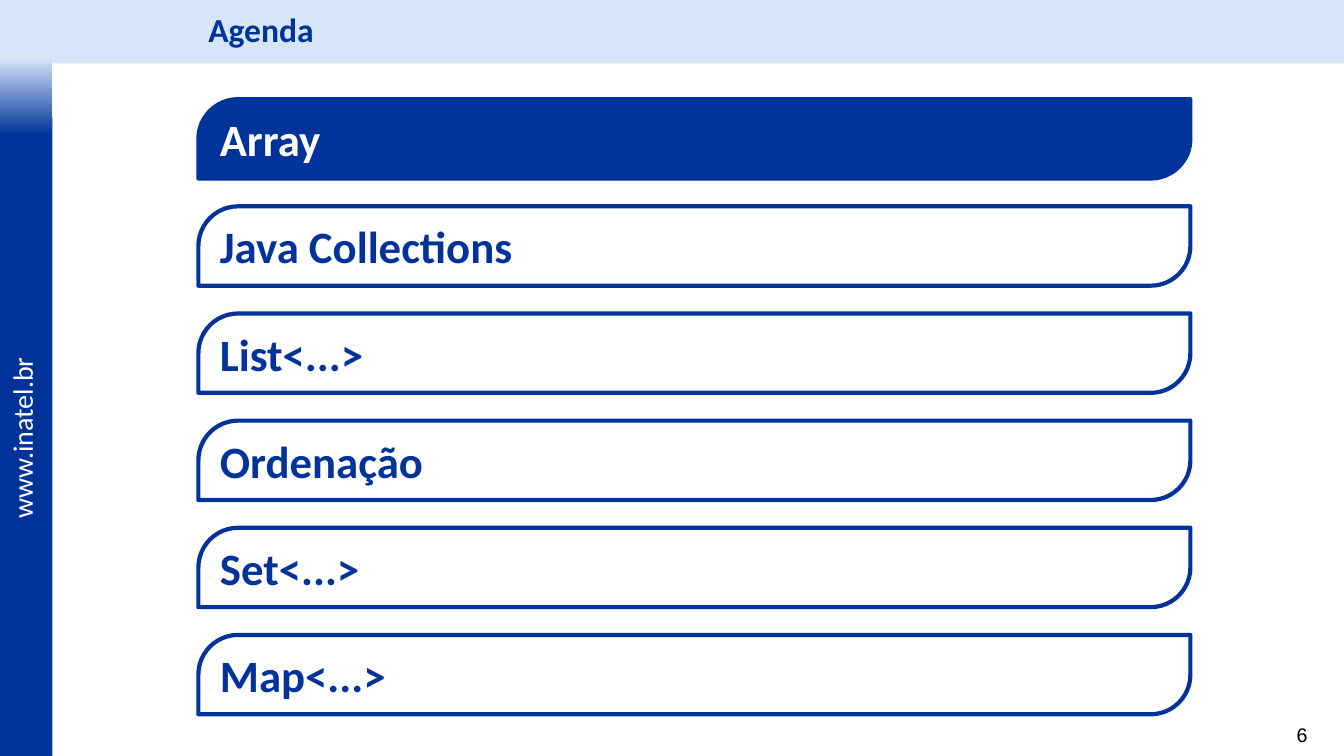
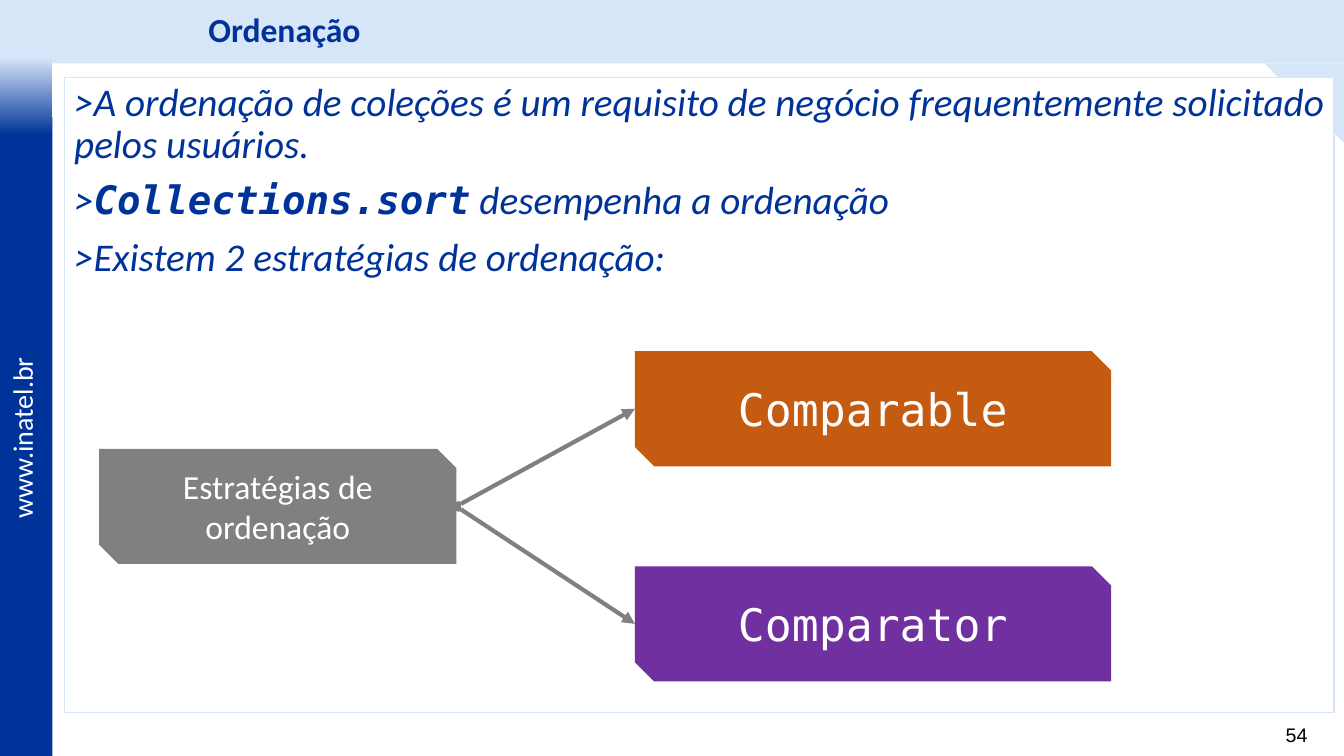
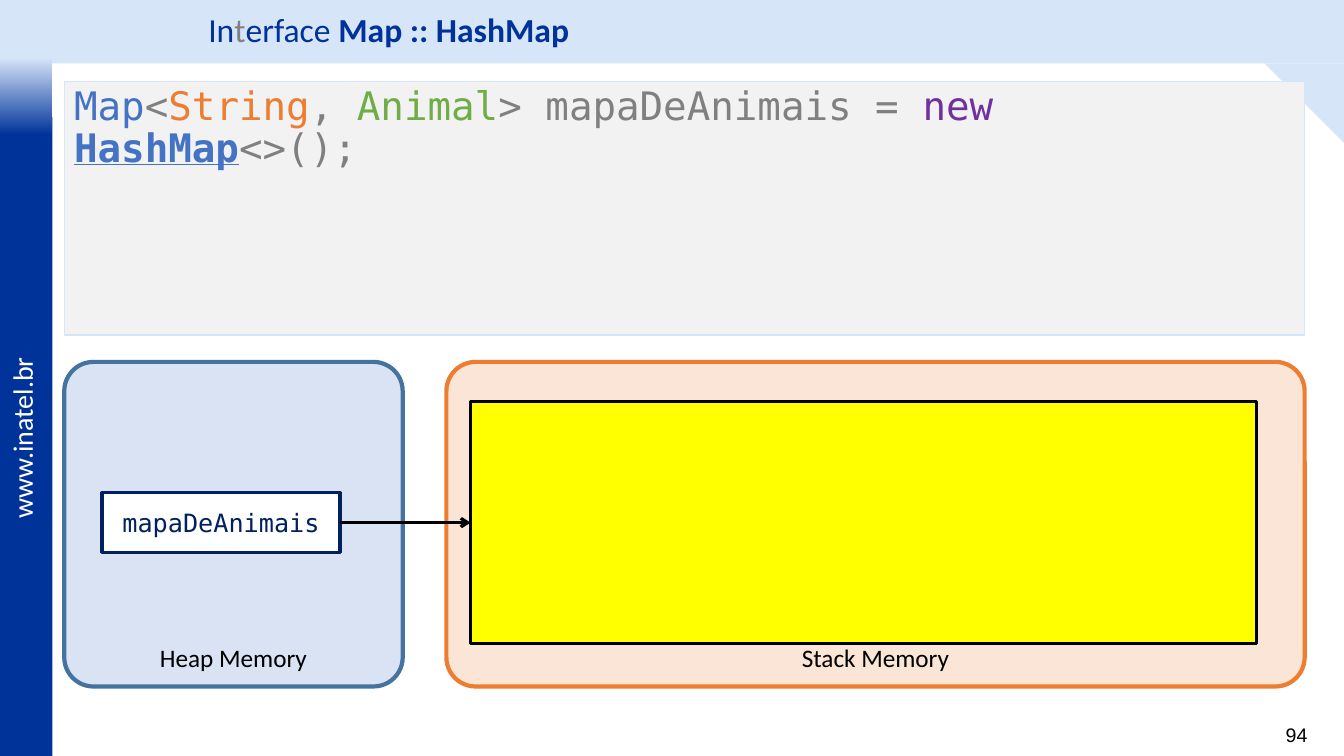
from dataclasses import dataclass

from lxml.etree import SubElement
from pptx import Presentation
from pptx.dml.color import RGBColor
from pptx.enum.shapes import MSO_CONNECTOR, MSO_SHAPE
from pptx.enum.text import MSO_ANCHOR, PP_ALIGN
from pptx.oxml.ns import qn
from pptx.util import Cm, Pt

COLORS = {
    "blue": "003399", "pale": "D7E5F9", "white": "FFFFFF", "black": "000000",
    "gray": "808080", "code_bg": "F2F2F2", "rust": "C55A11", "purple": "7030A0",
    "type": "4472C4", "orange": "ED7D31", "green": "70AD47", "navy": "002060",
    "stack_bg": "FBE5D6", "heap_bg": "DAE3F3", "heap_line": "43739E",
    "yellow": "FFFF00",
}
SANS, MONO, NUMBER = "Calibri", "DejaVu Sans Mono", "Arial"
MIDDLE, BOTTOM = MSO_ANCHOR.MIDDLE, MSO_ANCHOR.BOTTOM
CENTER, RIGHT = PP_ALIGN.CENTER, PP_ALIGN.RIGHT


@dataclass
class Box:
    """A rectangle on a grid of one-centimetre columns and rows."""
    x: float
    y: float
    w: float
    h: float

    def inner(self, dx, dy, w, h):
        return Box(self.x + dx, self.y + dy, w, h)

    def emu(self):
        return [Cm(v) for v in (self.x, self.y, self.w, self.h)]

    def left(self):
        return self.x, self.y + self.h / 2

    def right(self):
        return self.x + self.w, self.y + self.h / 2


SLIDE = Box(0, 0, 33.87, 19.05)
BAND = Box(0, 0, SLIDE.w, 1.6)
SIDE = Box(0, 0, 1.32, SLIDE.h)
MARGIN = 1.62


def rgb(name):
    return RGBColor.from_string(COLORS[name])


def style_font(font, size=None, face=None, color=None, **flags):
    if size:
        font.size = Pt(size)
    if face:
        font.name = face
    if color:
        font.color.rgb = rgb(color)
    for flag, value in flags.items():
        setattr(font, flag, value)


def write(s, paragraphs, anchor=MSO_ANCHOR.TOP, align=PP_ALIGN.LEFT,
          spacing=None, before=0, **font):
    """Each paragraph is a string or a list of (text, font changes) runs."""
    tf = s.text_frame
    tf.word_wrap = True
    tf.vertical_anchor = anchor
    for i, runs in enumerate(paragraphs):
        p = tf.paragraphs[0] if i == 0 else tf.add_paragraph()
        p.alignment = align
        if spacing:
            p.line_spacing = spacing
        if i and before:
            p.space_before = Pt(before)
        style_font(p.font, **font)
        for text, changes in [(runs, {})] if isinstance(runs, str) else runs:
            r = p.add_run()
            r.text = text
            style_font(r.font, **changes)


def add_text(slide, box, paragraphs, **text):
    s = slide.shapes.add_textbox(*box.emu())
    write(s, paragraphs, **text)
    return s


def add_shape(slide, kind, box, fill, line=None, width=1, adjust=()):
    s = slide.shapes.add_shape(kind, *box.emu())
    s.shadow.inherit = False
    s.fill.solid()
    s.fill.fore_color.rgb = rgb(fill)
    if line:
        s.line.color.rgb = rgb(line)
        s.line.width = Pt(width)
    else:
        s.line.fill.background()
    for i, value in enumerate(adjust):
        s.adjustments[i] = value
    return s


def add_arrow(slide, start, end, color, width, **ends):
    points = [Cm(v) for v in (*start, *end)]
    c = slide.shapes.add_connector(MSO_CONNECTOR.STRAIGHT, *points)
    c.line.color.rgb = rgb(color)
    c.line.width = Pt(width)
    ln = c._element.spPr.find(qn("a:ln"))
    for end_name in ("headEnd", "tailEnd"):
        if end_name in ends:
            SubElement(ln, qn(f"a:{end_name}"), type=ends[end_name])
    SubElement(c._element.spPr, qn("a:effectLst"))


def add_frame(slide, number):
    add_shape(slide, MSO_SHAPE.RECTANGLE, BAND, "pale")
    add_shape(slide, MSO_SHAPE.RECTANGLE,
              SIDE.inner(0, 2.95, SIDE.w, SIDE.h - 2.95), "blue")
    fade = add_shape(slide, MSO_SHAPE.RECTANGLE,
                     SIDE.inner(0, 1.45, SIDE.w, 1.95), "blue")
    fade.fill.gradient()
    fade.fill.gradient_angle = 270
    for stop, position, color in zip(fade.fill.gradient_stops, (0, 1),
                                     ("pale", "blue")):
        stop.position = position
        stop.color.rgb = rgb(color)
    site = add_text(slide, SIDE.inner(-1.83, 10.39, 4.75, 1.09),
                    ["www.inatel.br"], size=20, face=SANS, color="white")
    site.rotation = 270
    add_text(slide, SLIDE.inner(31.55, 18.08, 1.65, 0.86), [str(number)],
             align=RIGHT, size=14, face=NUMBER, color="black")


def add_title(slide, runs, bold=None):
    add_text(slide, BAND.inner(5, 0, BAND.w - 5, BAND.h), [runs],
             anchor=MIDDLE, spacing=0.9, size=24, face=SANS, color="blue",
             bold=bold)


def add_corner(slide):
    size = 2
    s = add_shape(slide, MSO_SHAPE.RIGHT_TRIANGLE,
                  SLIDE.inner(SLIDE.w - size, BAND.h, size, size), "pale")
    s.rotation = 180


def add_agenda(slide, box, topics, current):
    row, pitch = 2, 2.7
    for i, topic in enumerate(topics):
        active = topic == current
        s = add_shape(slide, MSO_SHAPE.ROUND_2_DIAG_RECTANGLE,
                      box.inner(0, i * pitch, box.w, row),
                      "blue" if active else "white", "blue", 3, (0.5, 0))
        write(s, [topic], anchor=MIDDLE, size=32, face=SANS, bold=True,
              color="white" if active else "blue")


def add_panel(slide, box, fill, paragraphs, **text):
    s = add_shape(slide, MSO_SHAPE.RECTANGLE, box, fill, "pale")
    write(s, paragraphs, spacing=0.9, before=10, size=28, **text)


def add_strategies(slide, box):
    def node(area, label, fill, size, face):
        s = add_shape(slide, MSO_SHAPE.SNIP_2_DIAG_RECTANGLE, area, fill)
        write(s, [label], anchor=MIDDLE, align=CENTER, size=size, face=face,
              color="white")

    height = 2.9
    root = box.inner(0, (box.h - height) / 2 - 0.25, 9, height)
    node(root, "Estratégias de ordenação", "gray", 24, SANS)
    for dy, label, fill in ((0, "Comparable", "rust"),
                            (box.h - height, "Comparator", "purple")):
        target = box.inner(box.w - 12, dy, 12, height)
        node(target, label, fill, 32, MONO)
        add_arrow(slide, root.right(), target.left(), "gray", 3,
                  headEnd="diamond", tailEnd="triangle")


def add_memory(slide, box):
    heap = box.inner(0, 0, 8.53, box.h)
    stack = box.inner(9.63, 0, box.w - 9.63, box.h)
    for area, label, fill, line in (
            (stack, "Stack Memory", "stack_bg", "orange"),
            (heap, "Heap Memory", "heap_bg", "heap_line")):
        s = add_shape(slide, MSO_SHAPE.ROUNDED_RECTANGLE, area, fill, line, 3,
                      (0.09,))
        write(s, [label], anchor=BOTTOM, align=CENTER, size=18, face=SANS,
              color="black")
    instance = stack.inner(0.61, 1, 19.8, 6.1)
    add_shape(slide, MSO_SHAPE.RECTANGLE, instance, "yellow", "black", 2.25)
    variable = heap.inner(0.95, 3.3, 6, 1.5)
    s = add_shape(slide, MSO_SHAPE.RECTANGLE, variable, "white", "navy", 2.25)
    write(s, ["mapaDeAnimais"], anchor=MIDDLE, align=CENTER, size=18,
          face=MONO, color="navy")
    add_arrow(slide, variable.right(), instance.left(), "black", 2.25,
              tailEnd="arrow")


def agenda_slide(slide):
    add_frame(slide, 6)
    add_title(slide, "Agenda", bold=True)
    topics = ("Array", "Java Collections", "List<...>", "Ordenação",
              "Set<...>", "Map<...>")
    add_agenda(slide, SLIDE.inner(5, 2.5, 25, 15.5), topics, "Array")


def sorting_slide(slide):
    add_frame(slide, 54)
    add_title(slide, "Ordenação", bold=True)
    add_corner(slide)
    panel = SLIDE.inner(MARGIN, 1.95, 32, 16)
    add_panel(slide, panel, "white", [
        ">A ordenação de coleções é um requisito de negócio frequentemente "
        "solicitado pelos usuários.",
        [(">", {}), ("Collections.sort", {"face": MONO, "bold": True}),
         (" desempenha a ordenação", {})],
        ">Existem 2 estratégias de ordenação:",
    ], face=SANS, color="blue", italic=True)
    add_strategies(slide, panel.inner(0.88, 6.9, 25.5, 8.32))


def map_slide(slide):
    add_frame(slide, 94)
    add_title(slide, [("In", {}), ("t", {"color": "gray"}), ("erface ", {}),
                      ("Map :: HashMap", {"bold": True})])
    add_corner(slide)
    width = 31.26
    add_panel(slide, SLIDE.inner(MARGIN, 2.06, width, 6.38), "code_bg", [[
        ("Map", {"color": "type"}), ("<", {}), ("String", {"color": "orange"}),
        (", ", {}), ("Animal", {"color": "green"}),
        ("> mapaDeAnimais = ", {}), ("new ", {"color": "purple"}),
        ("HashMap", {"color": "type", "bold": True, "underline": True}),
        ("<>();", {}),
    ]], face=MONO, color="gray")
    add_memory(slide, SLIDE.inner(MARGIN, 9.12, width, 8.18))


def main():
    prs = Presentation()
    prs.slide_width, prs.slide_height = Cm(SLIDE.w), Cm(SLIDE.h)
    for build in (agenda_slide, sorting_slide, map_slide):
        build(prs.slides.add_slide(prs.slide_layouts[6]))
    prs.save("out.pptx")


if __name__ == "__main__":
    main()
